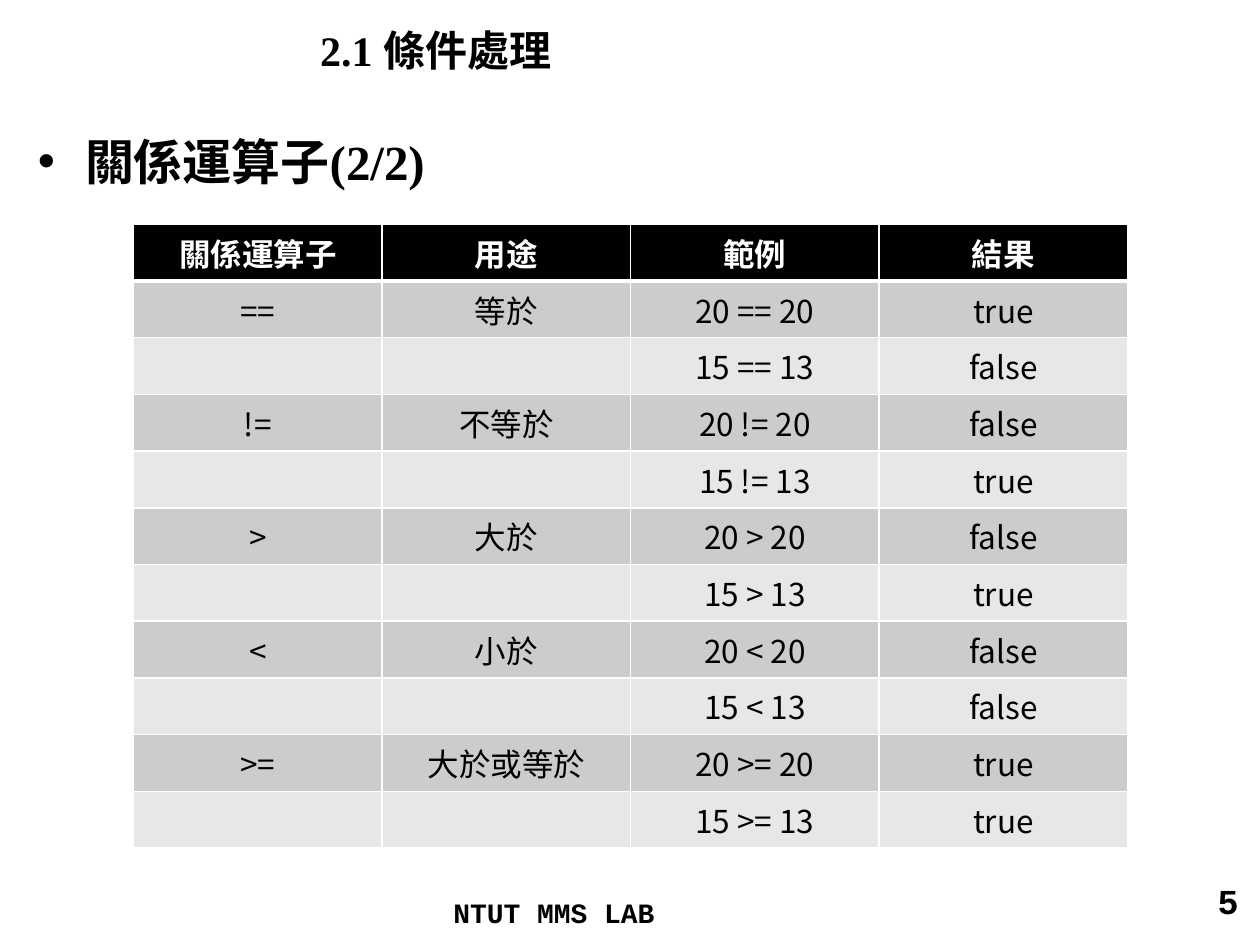
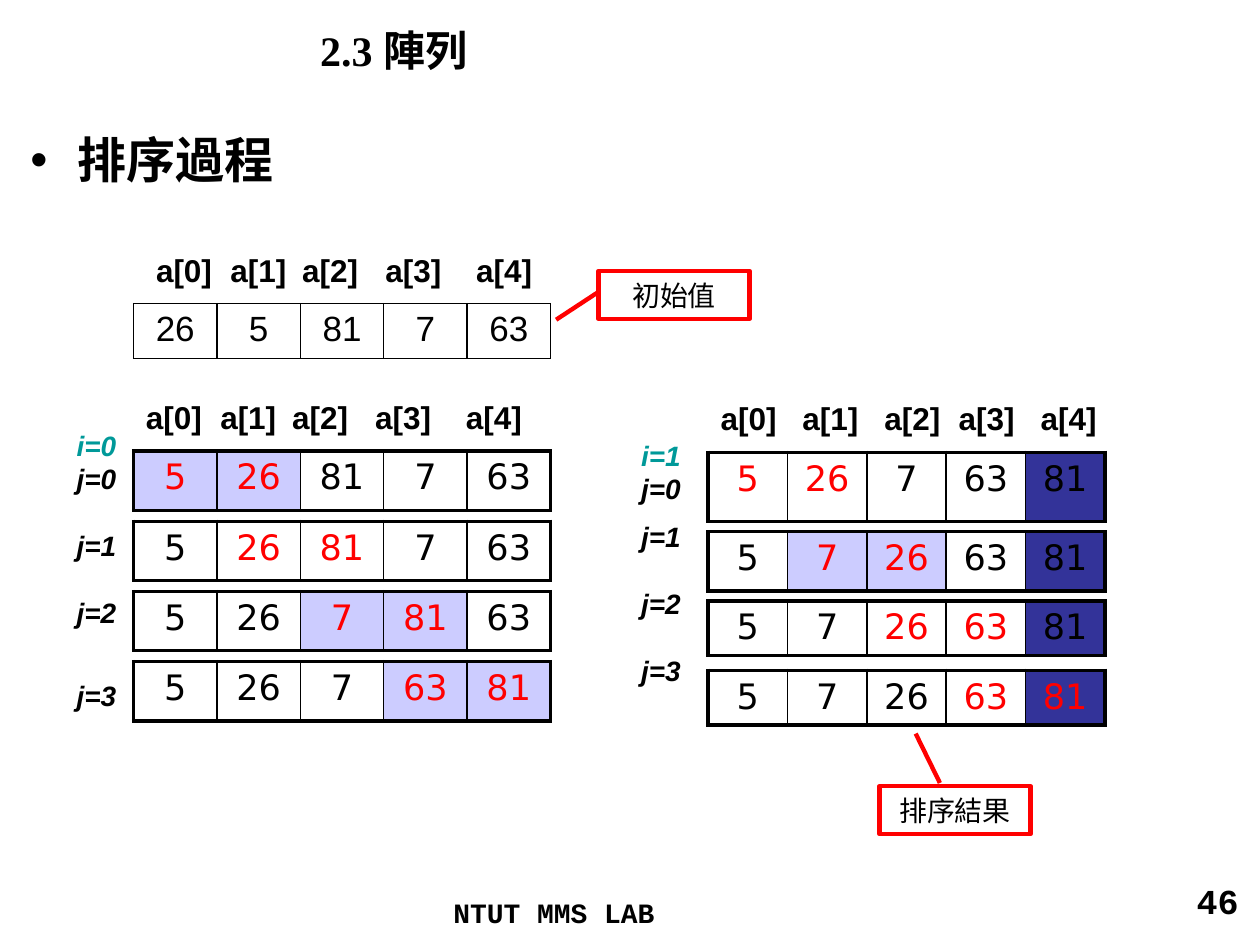
import dataclasses
import typing

import lxml.etree
import pptx
import pptx.dml.color
import pptx.enum.shapes
import pptx.enum.text
import pptx.oxml.ns
import pptx.util

SLIDE_WIDTH, SLIDE_HEIGHT = pptx.util.Inches(10), pptx.util.Inches(7.5)
COLUMN, ROW = SLIDE_WIDTH / 100, SLIDE_HEIGHT / 75

BLACK, WHITE, RED, TEAL = "000000", "FFFFFF", "FF0000", "009999"
LAVENDER, NAVY = "CCCCFF", "333399"
BAND_DARK, BAND_LIGHT = "CCCCCC", "E7E7E7"
SERIF, SANS, MONO = "Times New Roman", "Arial", "Courier New"
DIGITS, HAN = "DejaVu Sans", "Noto Sans CJK SC"
LEFT, CENTER, RIGHT, JUSTIFY = (
    pptx.enum.text.PP_ALIGN.LEFT,
    pptx.enum.text.PP_ALIGN.CENTER,
    pptx.enum.text.PP_ALIGN.RIGHT,
    pptx.enum.text.PP_ALIGN.JUSTIFY,
)
MIDDLE = pptx.enum.text.MSO_ANCHOR.MIDDLE


@dataclasses.dataclass(frozen=True)
class Box:
    left: float
    top: float
    width: float
    height: float

    def emu(self) -> tuple[int, int, int, int]:
        return (round(self.left * COLUMN), round(self.top * ROW),
                round(self.width * COLUMN), round(self.height * ROW))


@dataclasses.dataclass(frozen=True)
class ArrayState:
    box: Box
    values: tuple[int, ...]
    compared: tuple[int, ...] = ()
    swapped: tuple[int, ...] = ()
    settled: tuple[int, ...] = ()
    font: str = DIGITS
    frame_width: float = 2.25


@dataclasses.dataclass(frozen=True)
class IndexHeader:
    box: Box
    stops: tuple[float, ...]


@dataclasses.dataclass(frozen=True)
class StepLabels:
    box: Box
    steps: tuple[tuple[str, float], ...]


@dataclasses.dataclass(frozen=True)
class Callout:
    box: Box
    text: str
    pointer: tuple[float, ...]


TITLE_BOX = Box(24.4, 0, 75.6, 7.9)
FOOTER_BOX = Box(35, 70.6, 32.4, 3.2)
NUMBER_BOX = Box(76, 69.3, 23.3, 5.2)
OPERATOR_BOX = Box(10.6, 17.8, 78.9, 49.5)

OPERATOR_HEADER = ("關係運算子", "用途", "範例", "結果")
OPERATORS = (
    ("==", "等於", "true", "false"),
    ("!=", "不等於", "false", "true"),
    (">", "大於", "false", "true"),
    ("<", "小於", "false", "false"),
    (">=", "大於或等於", "true", "true"),
)

WIDE_STOPS = (5.9, 11.6, 18.2, 25.4)
INDEX_HEADERS = (
    IndexHeader(Box(11.4, 19.4, 32.3, 4), WIDE_STOPS),
    IndexHeader(Box(10.6, 31.1, 32.3, 4), WIDE_STOPS),
    IndexHeader(Box(56.2, 31.2, 33.9, 4), (6.5, 13, 18.9, 25.4)),
)
STEP_LABELS = (
    StepLabels(Box(5.1, 33.5, 7.1, 24.1),
               (("i=0", 0), ("j=0", 0), ("j=1", 19), ("j=2", 19), ("j=3", 28))),
    StepLabels(Box(49.9, 34.3, 7.1, 24.4),
               (("i=1", 0), ("j=0", 0), ("j=1", 8), ("j=2", 19), ("j=3", 19))),
)


def first_pass(step: int) -> Box:
    return Box(10.6, 35.8 + 5.57 * step, 33.1, 4.7)


def second_pass(top: float, height: float) -> Box:
    return Box(56.2, top, 31.5, height)


ARRAY_STATES = (
    ArrayState(Box(10.6, 24.1, 33.1, 4.3), (26, 5, 81, 7, 63),
               font=SANS, frame_width=1),
    ArrayState(first_pass(0), (5, 26, 81, 7, 63), (0, 1), (0, 1)),
    ArrayState(first_pass(1), (5, 26, 81, 7, 63), (1, 2)),
    ArrayState(first_pass(2), (5, 26, 7, 81, 63), (2, 3), (2, 3)),
    ArrayState(first_pass(3), (5, 26, 7, 63, 81), (3, 4), (3, 4)),
    ArrayState(second_pass(35.9, 5.5), (5, 26, 7, 63, 81), (0, 1), (), (4,)),
    ArrayState(second_pass(42.2, 4.7), (5, 7, 26, 63, 81), (1, 2), (1, 2), (4,)),
    ArrayState(second_pass(47.7, 4.3), (5, 7, 26, 63, 81), (2, 3), (), (4,)),
    ArrayState(second_pass(53.2, 4.3), (5, 7, 26, 63, 81), (3, 4), (), (4,)),
)
CALLOUTS = (
    Callout(Box(47.5, 21.5, 12, 3.8), "初始值", (0.44, 0, 1.02, -0.28)),
    Callout(Box(69.8, 62.4, 12, 3.8), "排序結果", (-0.07, 0.4, -1.1, 0.24)),
)


def rgb(code: str) -> pptx.dml.color.RGBColor:
    return pptx.dml.color.RGBColor.from_string(code)


def add_xml(parent: typing.Any, tag: str, **attributes: typing.Any) -> typing.Any:
    return lxml.etree.SubElement(parent, pptx.oxml.ns.qn(tag),
                                 {key: str(value) for key, value in attributes.items()})


def write(paragraph: typing.Any, text: str, *, size: float, font: str = SANS,
          color: str = BLACK, bold: bool = False, italic: bool = False,
          align: typing.Any = LEFT, before: typing.Optional[float] = None,
          stops: tuple[float, ...] = ()) -> None:
    paragraph.alignment = align
    if before is not None:
        paragraph.space_before = pptx.util.Pt(before)
    if stops:
        tabs = add_xml(paragraph._p.get_or_add_pPr(), "a:tabLst")
        for stop in stops:
            add_xml(tabs, "a:tab", pos=round(stop * COLUMN), algn="l")
    run = paragraph.add_run()
    run.text = text
    run.font.size = pptx.util.Pt(size)
    run.font.bold, run.font.italic = bold, italic
    run.font.color.rgb = rgb(color)
    run.font.name = font
    add_xml(run._r.get_or_add_rPr(), "a:ea", typeface=HAN)


def add_text_frame(slide: typing.Any, box: Box) -> typing.Any:
    frame = slide.shapes.add_textbox(*box.emu()).text_frame
    frame.word_wrap = True
    return frame


def move(shape: typing.Any, box: Box) -> None:
    shape.left, shape.top, shape.width, shape.height = box.emu()


def add_page(deck: typing.Any, title: str, topic: str, number: int,
             topic_box: Box, topic_align: typing.Any) -> typing.Any:
    slide = deck.slides.add_slide(deck.slide_layouts[1])
    heading, body = slide.shapes.title, slide.placeholders[1]
    move(heading, TITLE_BOX)
    heading.text_frame.vertical_anchor = MIDDLE
    write(heading.text_frame.paragraphs[0], title, size=24, font=SERIF, bold=True)
    move(body, topic_box)
    write(body.text_frame.paragraphs[0], topic, size=28, font=SERIF, bold=True,
          align=topic_align)
    write(add_text_frame(slide, FOOTER_BOX).paragraphs[0], "NTUT MMS LAB",
          size=16, font=MONO, bold=True)
    write(add_text_frame(slide, NUMBER_BOX).paragraphs[0], str(number),
          size=20, font=MONO, bold=True, align=RIGHT)
    return slide


def add_grid(slide: typing.Any, box: Box, rows: int, columns: int) -> typing.Any:
    table = slide.shapes.add_table(rows, columns, *box.emu()).table
    table.first_row = table.horz_banding = False
    for row in table.rows:
        row.height = round(box.height * ROW / rows)
    for column in table.columns:
        column.width = round(box.width * COLUMN / columns)
    return table


def style_cell(cell: typing.Any, fill: typing.Optional[str], color: str,
               **widths: float) -> None:
    if fill:
        cell.fill.solid()
        cell.fill.fore_color.rgb = rgb(fill)
    else:
        cell.fill.background()
    properties = cell._tc.get_or_add_tcPr()
    for position, side in enumerate("LRTB"):
        line = add_xml(properties, f"a:ln{side}", w=pptx.util.Pt(widths.get(side, 1)))
        add_xml(add_xml(line, "a:solidFill"), "a:srgbClr", val=color)
        properties.insert(position, line)


def add_operator_table(slide: typing.Any) -> None:
    rows = [OPERATOR_HEADER]
    for sign, purpose, equal_result, greater_result in OPERATORS:
        rows.append((sign, purpose, f"20 {sign} 20", equal_result))
        rows.append(("", "", f"15 {sign} 13", greater_result))
    table = add_grid(slide, OPERATOR_BOX, len(rows), len(OPERATOR_HEADER))
    for r, row in enumerate(rows):
        header = r == 0
        fill = BLACK if header else (BAND_DARK if r % 2 else BAND_LIGHT)
        for c, text in enumerate(row):
            cell = table.cell(r, c)
            style_cell(cell, fill, WHITE, B=3 if header else 1, T=3 if r == 1 else 1)
            cell.vertical_anchor = MIDDLE
            cell.margin_top = cell.margin_bottom = 0
            if text:
                write(cell.text_frame.paragraphs[0], text, size=18, font=HAN,
                      color=WHITE if header else BLACK, bold=header, align=CENTER)


def add_array_state(slide: typing.Any, state: ArrayState) -> None:
    last = len(state.values) - 1
    table = add_grid(slide, state.box, 1, len(state.values))
    for index, value in enumerate(state.values):
        cell = table.cell(0, index)
        fill = (LAVENDER if index in state.swapped
                else NAVY if index in state.settled else None)
        outer = state.frame_width
        style_cell(cell, fill, BLACK, T=outer, B=outer,
                   L=outer if index == 0 else 1, R=outer if index == last else 1)
        write(cell.text_frame.paragraphs[0], str(value), size=20, font=state.font,
              color=RED if index in state.compared else BLACK, align=CENTER)


def add_index_header(slide: typing.Any, header: IndexHeader) -> None:
    names = "\t".join(f"a[{index}]" for index in range(5))
    write(add_text_frame(slide, header.box).paragraphs[0], names, size=18, bold=True,
          stops=header.stops)


def add_step_labels(slide: typing.Any, labels: StepLabels) -> None:
    frame = add_text_frame(slide, labels.box)
    for position, (step, before) in enumerate(labels.steps):
        paragraph = frame.add_paragraph() if position else frame.paragraphs[0]
        write(paragraph, step, size=16, color=BLACK if position else TEAL,
              bold=True, italic=True, before=before)


def add_callout(slide: typing.Any, callout: Callout) -> None:
    shape = slide.shapes.add_shape(
        pptx.enum.shapes.MSO_SHAPE.LINE_CALLOUT_1, *callout.box.emu())
    shape.shadow.inherit = False
    shape.fill.solid()
    shape.fill.fore_color.rgb = rgb(WHITE)
    shape.line.color.rgb = rgb(RED)
    shape.line.width = pptx.util.Pt(2.5)
    for position, share in enumerate(callout.pointer):
        shape.adjustments[position] = share
    shape.text_frame.vertical_anchor = MIDDLE
    write(shape.text_frame.paragraphs[0], callout.text, size=16, font=HAN, align=CENTER)


def main() -> None:
    deck = pptx.Presentation()
    deck.slide_width, deck.slide_height = SLIDE_WIDTH, SLIDE_HEIGHT

    conditions = add_page(deck, "2.1 條件處理", "關係運算子(2/2)", 5,
                          Box(2, 9.9, 96.9, 58.2), JUSTIFY)
    add_operator_table(conditions)

    sorting = add_page(deck, "2.3 陣列", "排序過程", 46,
                       Box(1.4, 9.8, 96.9, 58.2), LEFT)
    for draw, items in ((add_array_state, ARRAY_STATES),
                        (add_index_header, INDEX_HEADERS),
                        (add_step_labels, STEP_LABELS),
                        (add_callout, CALLOUTS)):
        for item in items:
            draw(sorting, item)

    deck.save("out.pptx")


if __name__ == "__main__":
    main()
